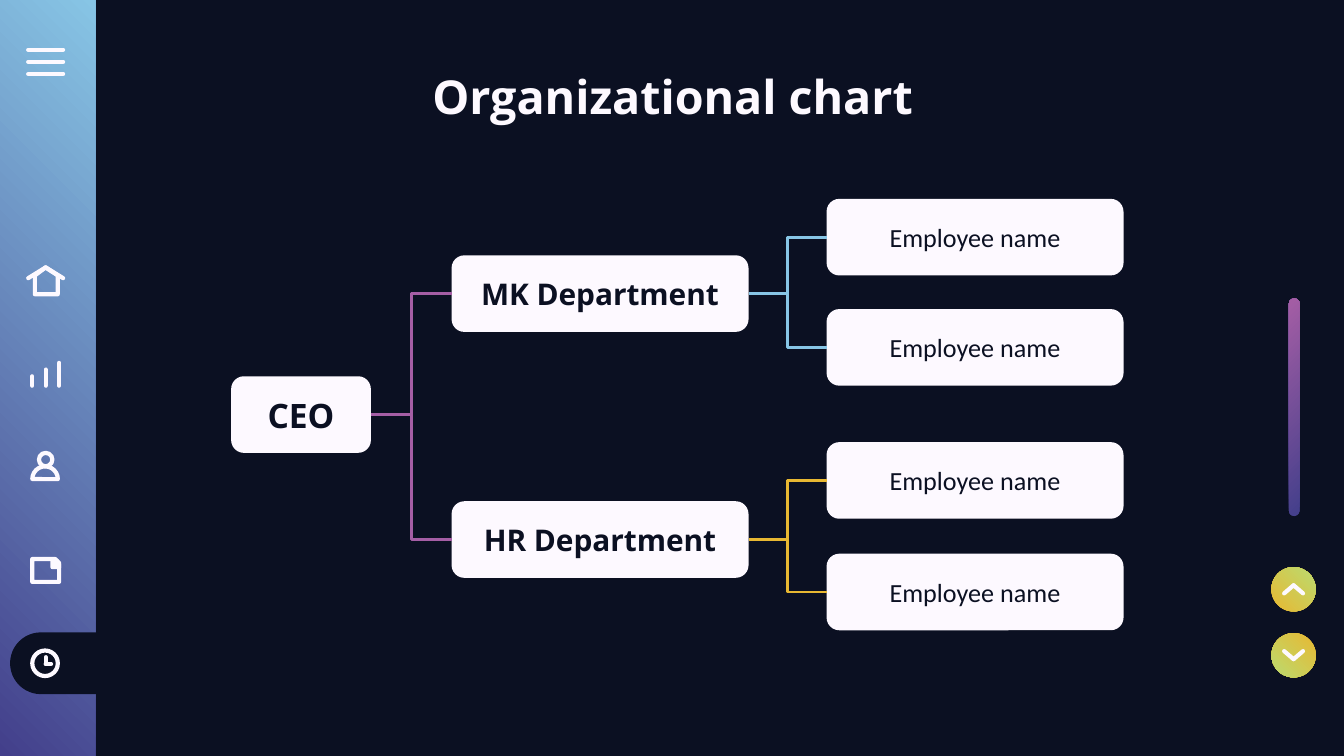
from dataclasses import dataclass

from lxml.etree import SubElement
from pptx import Presentation
from pptx.dml.color import RGBColor
from pptx.enum.shapes import MSO_CONNECTOR as Link, MSO_SHAPE as Shape
from pptx.enum.text import MSO_ANCHOR as Anchor, PP_ALIGN as Align
from pptx.oxml.ns import qn
from pptx.util import Inches, Pt


@dataclass(frozen=True)
class Theme:
    night: str = "0B1022"
    paper: str = "FDF9FF"
    purple: str = "A55EA5"
    sky: str = "87C5E5"
    indigo: str = "433F8B"
    amber: str = "E8B832"
    lime: str = "BBDB70"
    heading: str = "Open Sans"
    body: str = "Calibri"
    title_size: float = 25
    ceo_size: float = 18
    department_size: float = 16
    employee_size: float = 14
    icon_line: float = 2.25
    chart_line: float = 1.5


THEME = Theme()
WIDTH = 10
HEIGHT = WIDTH * 9 / 16

TITLE = "Organizational chart"
CEO = ("CEO", 2.8)
# name, top, branch colour, employees as (name, top)
DEPARTMENTS = [
    ("MK Department", 1.9, THEME.sky, [("Employee name", 1.48), ("Employee name", 2.3)]),
    ("HR Department", 3.73, THEME.amber, [("Employee name", 3.29), ("Employee name", 4.12)]),
]
BOX_HEIGHT = 0.57
# left, width, font, size, bold
CEO_LEVEL = (1.72, 1.04, THEME.heading, THEME.ceo_size, True)
DEPARTMENT_LEVEL = (3.36, 2.21, THEME.heading, THEME.department_size, True)
EMPLOYEE_LEVEL = (6.15, 2.21, THEME.body, THEME.employee_size, False)

ICON_LEFT, ICON_MIDDLE, ICON_RIGHT = 0.21, 0.34, 0.47
MENU_ROWS = [0.37, 0.46, 0.55]
BARS = [(0.24, 2.8), (0.34, 2.75), (0.44, 2.7)]
BARS_BASE = 2.87
ROOF_TOP, EAVES = 1.99, 2.07
HOUSE = [(0.26, 2.05), (0.26, 2.19), (0.43, 2.19), (0.43, 2.05), (0.34, 1.99)]
NOTE_FOLD = [(0.39, 4.17), (0.42, 4.17), (0.44, 4.2), (0.44, 4.22), (0.39, 4.22)]
CLOCK_CENTRE = (ICON_MIDDLE, 4.94)
CLOCK_HANDS = [(0.34, 4.89), (0.38, 4.94)]

BUTTON_LEFT, BUTTON_SIZE = 9.46, 0.33
BUTTONS = [(4.71, 1, 180), (4.22, -1, 0)]  # top, chevron direction, rotation


def rgb(value):
    return RGBColor.from_string(value)


def stroke(shape, color, width, rounded=True):
    shape.line.color.rgb = rgb(color)
    shape.line.width = Pt(width)
    if rounded:
        outline = shape.line._get_or_add_ln()
        outline.set("cap", "rnd")
        SubElement(outline, qn("a:round"))


def add_shape(shapes, kind, left, top, width, height, fill=None, rotation=0, adjust=()):
    """Add an unlined shape; fill is a colour, (start, end, angle) or None."""
    shape = shapes.add_shape(kind, *map(Inches, (left, top, width, height)))
    shape.shadow.inherit = False
    shape.line.fill.background()
    shape.rotation = rotation
    for index, value in enumerate(adjust):
        shape.adjustments[index] = value
    if fill is None:
        shape.fill.background()
    elif isinstance(fill, str):
        shape.fill.solid()
        shape.fill.fore_color.rgb = rgb(fill)
    else:
        *colors, angle = fill
        shape.fill.gradient()
        shape.fill.gradient_angle = angle
        for position, (stop, color) in enumerate(zip(shape.fill.gradient_stops, colors)):
            stop.position = position
            stop.color.rgb = rgb(color)
    return shape


def add_link(shapes, kind, start, end, color, width, rounded=True):
    link = shapes.add_connector(kind, *map(Inches, (*start, *end)))
    stroke(link, color, width, rounded)
    SubElement(link._element.spPr, qn("a:effectLst"))
    return link


def icon_line(shapes, start, end):
    add_link(shapes, Link.STRAIGHT, start, end, THEME.paper, THEME.icon_line)


def icon_shape(shapes, kind, *frame, **options):
    stroke(add_shape(shapes, kind, *frame, **options), THEME.paper, THEME.icon_line)


def icon_outline(shapes, points, filled=False):
    start, *rest = [(Inches(x), Inches(y)) for x, y in points]
    builder = shapes.build_freeform(*start)
    builder.add_line_segments(rest, close=True)
    outline = builder.convert_to_shape()
    outline.shadow.inherit = False
    if filled:
        outline.fill.solid()
        outline.fill.fore_color.rgb = rgb(THEME.paper)
    else:
        outline.fill.background()
    stroke(outline, THEME.paper, THEME.icon_line)


def write(shape, text, font, size, color, bold):
    frame = shape.text_frame
    frame.word_wrap = True
    frame.vertical_anchor = Anchor.MIDDLE
    frame.margin_left = frame.margin_right = Inches(0.1)
    frame.margin_top = frame.margin_bottom = Inches(0.1)
    para = frame.paragraphs[0]
    para.text = text
    para.alignment = Align.CENTER
    para.font.name, para.font.size, para.font.bold = font, Pt(size), bold
    para.font.color.rgb = rgb(color)


def add_box(page, text, top, level):
    left, width, font, size, bold = level
    box = add_shape(page.shapes, Shape.ROUNDED_RECTANGLE, left, top, width, BOX_HEIGHT, THEME.paper)
    write(box, text, font, size, THEME.night, bold)
    return box


def join(page, parent, child, color):
    link = add_link(page.shapes, Link.ELBOW, (0, 0), (1, 1), color, THEME.chart_line, False)
    link.begin_connect(parent, 3)
    link.end_connect(child, 1)


def draw_sidebar(page):
    add_shape(page.shapes, Shape.RECTANGLE, 0, 0, 0.71, HEIGHT, (THEME.indigo, THEME.sky, 45))
    add_shape(page.shapes, Shape.ROUND_2_SAME_RECTANGLE, 0.21, 4.57, 0.46, 0.73,
              THEME.night, 270, (0.5, 0))
    menu, house, bars, person, note, clock = [
        page.shapes.add_group_shape().shapes for _ in range(6)]
    for y in MENU_ROWS:
        icon_line(menu, (ICON_LEFT, y), (ICON_RIGHT, y))
    for x in (ICON_LEFT, ICON_RIGHT):
        icon_line(house, (x, EAVES), (ICON_MIDDLE, ROOF_TOP))
    icon_outline(house, HOUSE)
    for x, top in BARS:
        icon_line(bars, (x, top), (x, BARS_BASE))
    icon_shape(person, Shape.OVAL, 0.29, 3.37, 0.1, 0.1)
    icon_shape(person, Shape.PIE, 0.24, 3.47, 0.19, 0.19, rotation=90, adjust=(54.33, 162))
    icon_shape(note, Shape.SNIP_1_RECTANGLE, 0.24, 4.16, 0.2, 0.17)
    icon_outline(note, NOTE_FOLD, filled=True)
    icon_shape(clock, Shape.OVAL, 0.24, 4.84, 0.19, 0.19)
    for tip in CLOCK_HANDS:
        icon_line(clock, tip, CLOCK_CENTRE)


def draw_chart(page):
    ceo = add_box(page, *CEO, CEO_LEVEL)
    for name, top, color, employees in DEPARTMENTS:
        department = add_box(page, name, top, DEPARTMENT_LEVEL)
        join(page, ceo, department, THEME.purple)
        for employee, employee_top in employees:
            join(page, department, add_box(page, employee, employee_top, EMPLOYEE_LEVEL), color)


def draw_scroller(page):
    add_shape(page.shapes, Shape.ROUNDED_RECTANGLE, 8.82, 2.99, 1.62, 0.08,
              (THEME.indigo, THEME.purple, 225), 90, (0.5,))
    middle = BUTTON_LEFT + BUTTON_SIZE / 2
    for top, direction, rotation in BUTTONS:
        add_shape(page.shapes, Shape.OVAL, BUTTON_LEFT, top, BUTTON_SIZE, BUTTON_SIZE,
                  (THEME.amber, THEME.lime, 45), rotation)
        chevron = page.shapes.add_group_shape().shapes
        centre = top + BUTTON_SIZE / 2
        for side in (-1, 1):
            icon_line(chevron, (middle, centre + 0.03 * direction),
                      (middle + 0.07 * side, centre - 0.03 * direction))


def main():
    deck = Presentation()
    deck.slide_width, deck.slide_height = Inches(WIDTH), Inches(HEIGHT)
    page = deck.slides.add_slide(deck.slide_layouts[6])
    page.background.fill.solid()
    page.background.fill.fore_color.rgb = rgb(THEME.night)
    draw_sidebar(page)
    title = page.shapes.add_textbox(*map(Inches, (0.79, 0.4, 8.43, 0.63)))
    write(title, TITLE, THEME.heading, THEME.title_size, THEME.paper, True)
    draw_chart(page)
    draw_scroller(page)
    deck.save("out.pptx")


if __name__ == "__main__":
    main()
